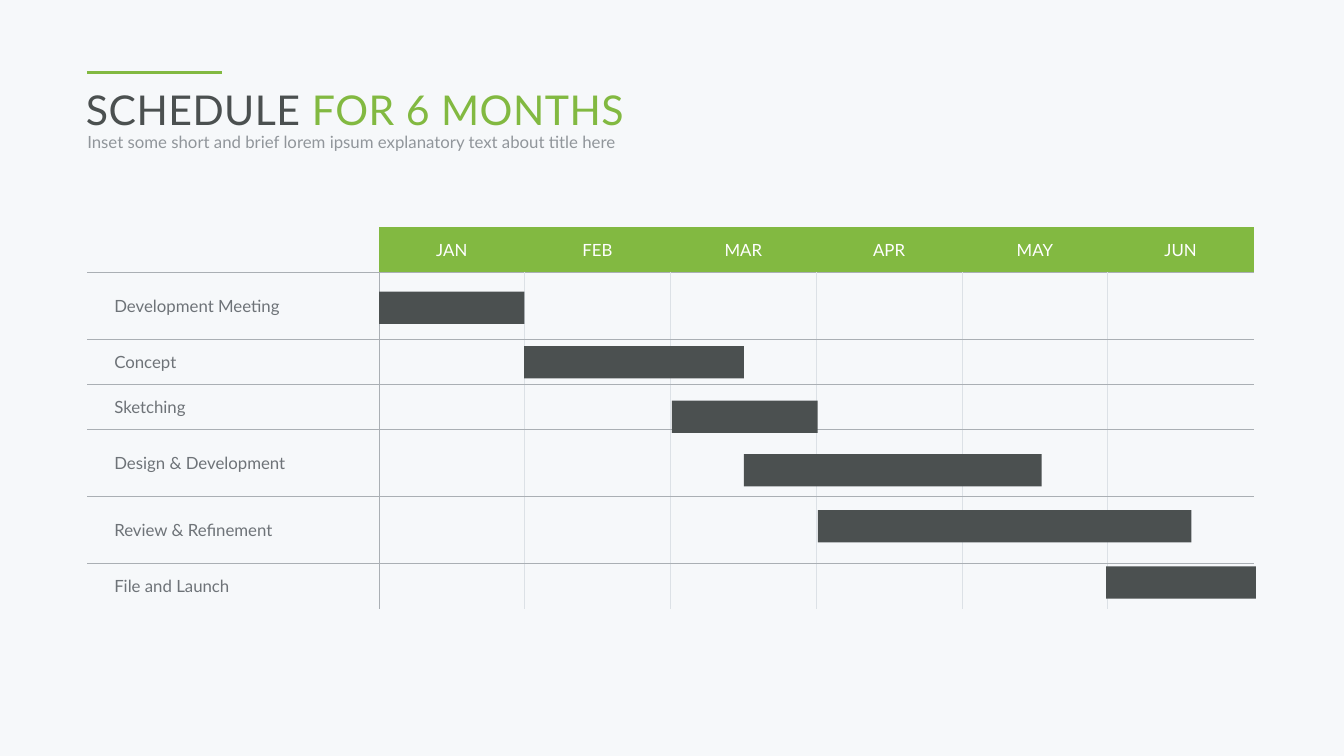
from typing import Any, NamedTuple

from lxml import etree
from pptx import Presentation
from pptx.dml.color import RGBColor
from pptx.enum.shapes import MSO_CONNECTOR, MSO_SHAPE
from pptx.enum.text import MSO_ANCHOR, PP_ALIGN
from pptx.oxml.ns import qn
from pptx.util import Cm, Pt

LINE = MSO_CONNECTOR.STRAIGHT
RECT = MSO_SHAPE.RECTANGLE
MID = MSO_ANCHOR.MIDDLE
LEFT, MID_X = PP_ALIGN.LEFT, PP_ALIGN.CENTER

PAPER = RGBColor(0xF6, 0xF8, 0xFA)
GREEN = RGBColor(0x82, 0xB9, 0x41)
DARK = RGBColor(0x4B, 0x50, 0x50)
MUTED = RGBColor(0x91, 0x96, 0x9B)
LABEL = RGBColor(0x6E, 0x73, 0x78)
WHITE = RGBColor(0xFF, 0xFF, 0xFF)
RULE = RGBColor(0xAA, 0xAF, 0xB4)
PALE = RGBColor(0xDC, 0xE1, 0xE6)

WIDE = Cm(50.8)
EDGE = Cm(3.3)
MONTH = Cm(5.51)
SHORT, TALL = Cm(1.7), Cm(2.54)
BAR = Cm(1.22)
NO_PAD = dict.fromkeys(("margin_left", "margin_top", "margin_right", "margin_bottom"), 0)
MONTHS = ["JAN", "FEB", "MAR", "APR", "MAY", "JUN"]


class Task(NamedTuple):
    name: str
    tall: int
    left: float
    top: float
    width: float


class Piece(NamedTuple):
    text: str
    size: int
    color: RGBColor
    track: int = 0


TASKS = [
    Task("Development Meeting", TALL, 14.33, 11.02, 5.49),
    Task("Concept", SHORT, 19.81, 13.08, 8.31),
    Task("Sketching", SHORT, 25.4, 15.14, 5.51),
    Task("Design & Development", TALL, 28.12, 17.17, 11.25),
    Task("Review & Refinement", TALL, 30.91, 19.28, 14.12),
    Task("File and Launch", SHORT, 41.81, 21.41, 5.66),
]


def apply(item: Any, look: dict[str, Any]) -> None:
    for key, value in look.items():
        setattr(item, key, value)


def write(para: Any, piece: Piece) -> None:
    run = para.add_run()
    apply(run, {"text": piece.text})
    apply(run.font, {"name": "Lato", "size": Pt(piece.size), "bold": False})
    run.font.color.rgb = piece.color
    if piece.track:
        run.font._element.set("spc", str(piece.track))


def add_text(slide: Any, left: int, top: int, high: int, pieces: list[Piece],
             look: dict[str, Any]) -> None:
    frame = slide.shapes.add_textbox(left, top, Cm(44.2), high).text_frame
    apply(frame, NO_PAD | {"word_wrap": True})
    para = frame.paragraphs[0]
    apply(para, look)
    for piece in pieces:
        write(para, piece)


def add_rule(slide: Any) -> None:
    rule = slide.shapes.add_connector(LINE, EDGE, Cm(2.74), Cm(8.38), Cm(2.74))
    rule.line.color.rgb = GREEN
    rule.line.width = Pt(2.25)
    etree.SubElement(rule._element.spPr, qn("a:effectLst"))


def add_edge(cell: Any, place: int, side: str, color: RGBColor | None) -> None:
    edge = etree.Element(qn(f"a:ln{side}"), w=str(Pt(0.75)))
    if color is None:
        etree.SubElement(edge, qn("a:noFill"))
    else:
        fill = etree.SubElement(edge, qn("a:solidFill"))
        etree.SubElement(fill, qn("a:srgbClr"), val=str(color))
    cell._tc.get_or_add_tcPr().insert(place, edge)


def wall(row: int, col: int) -> RGBColor | None:
    if col in (0, len(MONTHS) + 1):
        return None
    if row == 0:
        return GREEN
    return RULE if col == 1 else PALE


def fill_cell(cell: Any, row: int, col: int) -> None:
    head = row == 0 and col > 0
    pad = Cm(1.02) if row and col == 0 else 0
    apply(cell, NO_PAD | {"margin_left": pad, "vertical_anchor": MID})
    para = cell.text_frame.paragraphs[0]
    para.alignment = MID_X if head else LEFT
    if head:
        cell.fill.solid()
        cell.fill.fore_color.rgb = GREEN
        write(para, Piece(MONTHS[col - 1], 18, WHITE))
    else:
        cell.fill.background()
        if col == 0 and row:
            write(para, Piece(TASKS[row - 1].name, 18, LABEL))
    edges = {
        "L": wall(row, col),
        "R": wall(row, col + 1),
        "T": RULE if row else None,
        "B": RULE if row < len(TASKS) else None,
    }
    for place, (side, color) in enumerate(edges.items()):
        add_edge(cell, place, side, color)


def add_grid(slide: Any) -> None:
    highs = [SHORT] + [task.tall for task in TASKS]
    wides = [2 * MONTH] + [MONTH] * len(MONTHS)
    grid = slide.shapes.add_table(len(highs), len(wides), EDGE, Cm(8.59),
                                  sum(wides), sum(highs)).table
    apply(grid, {"first_row": False, "horz_banding": False})
    for col, wide in enumerate(wides):
        grid.columns[col].width = wide
    for row, high in enumerate(highs):
        grid.rows[row].height = high
        for col in range(len(wides)):
            fill_cell(grid.cell(row, col), row, col)


def add_bar(slide: Any, task: Task) -> None:
    bar = slide.shapes.add_shape(RECT, Cm(task.left), Cm(task.top), Cm(task.width), BAR)
    bar.shadow.inherit = False
    bar.fill.solid()
    bar.fill.fore_color.rgb = DARK
    bar.line.fill.background()


def main() -> None:
    deck = Presentation()
    apply(deck, {"slide_width": WIDE, "slide_height": WIDE * 9 // 16})
    slide = deck.slides.add_slide(deck.slide_layouts[6])
    slide.background.fill.solid()
    slide.background.fill.fore_color.rgb = PAPER
    add_rule(slide)
    title = [Piece("SCHEDULE ", 44, DARK, 50), Piece("FOR 6 MONTHS", 44, GREEN, 50)]
    add_text(slide, Cm(3.25), Cm(3.2), Cm(2.13), title, {})
    brief = "Inset some short and brief lorem ipsum explanatory text about title here"
    add_text(slide, EDGE, Cm(5.33), Cm(0.79), [Piece(brief, 18, MUTED)],
             {"line_spacing": Pt(12)})
    add_grid(slide)
    for task in TASKS:
        add_bar(slide, task)
    deck.save("out.pptx")


if __name__ == "__main__":
    main()
